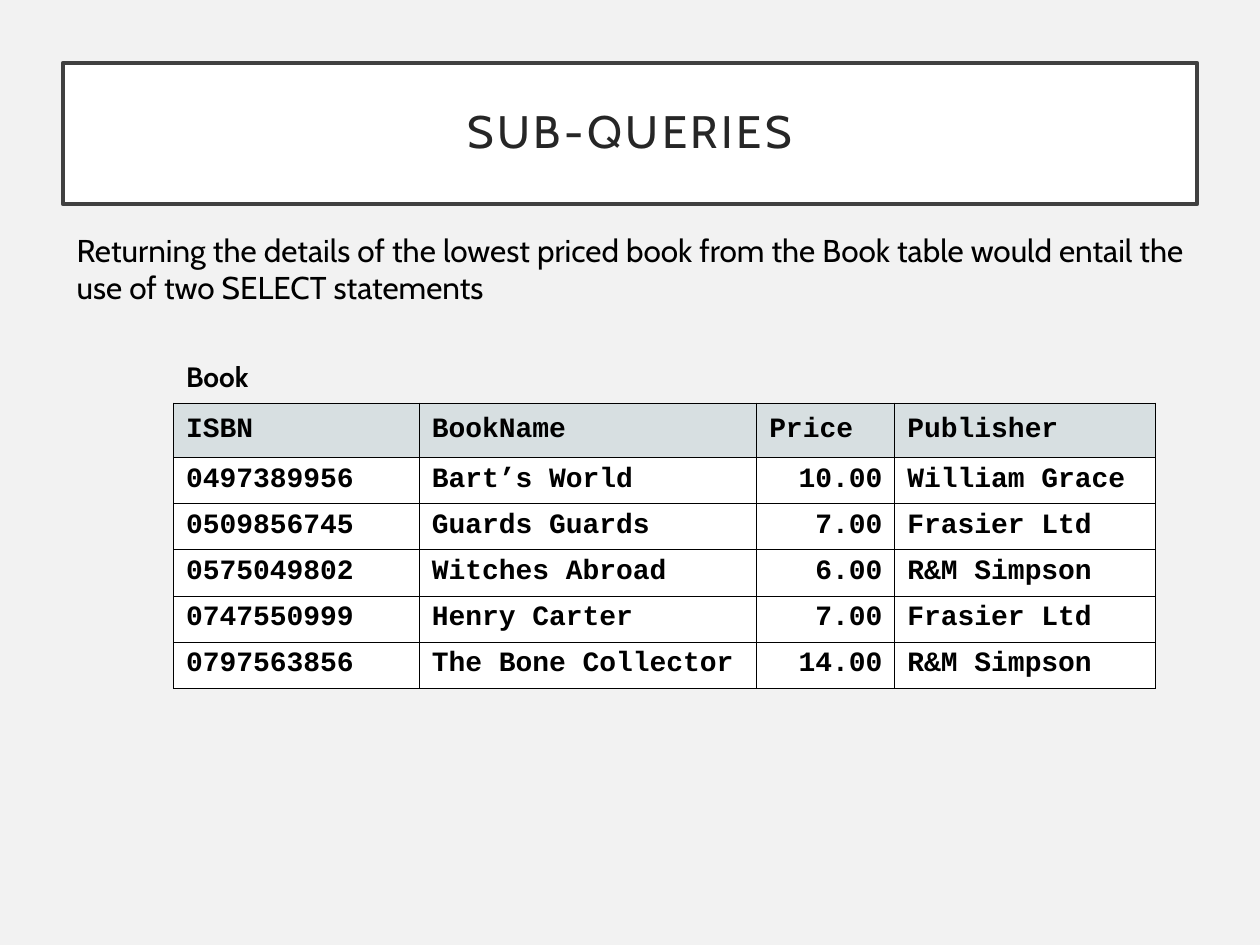
from lxml import etree
from pptx import Presentation
from pptx.dml.color import RGBColor
from pptx.enum import text
from pptx.oxml.ns import qn
from pptx.util import Pt

# Content
TITLE = "SUB-QUERIES"
INTRO = ("Returning the details of the lowest priced book from the Book table "
         "would entail the use of two SELECT statements")
CAPTION = "Book"
BOOKS = [
    ("ISBN", "BookName", "Price", "Publisher"),
    ("0497389956", "Bart’s World", "10.00", "William Grace"),
    ("0509856745", "Guards Guards", "7.00", "Frasier Ltd"),
    ("0575049802", "Witches Abroad", "6.00", "R&M Simpson"),
    ("0747550999", "Henry Carter", "7.00", "Frasier Ltd"),
    ("0797563856", "The Bone Collector", "14.00", "R&M Simpson"),
]
PRICE_COLUMN = 2

# Style, lengths in points
COLORS = {"background": "F2F2F2", "panel": "FFFFFF", "frame": "404040",
          "title": "262626", "text": "000000", "header": "D7DFE1"}
COLUMN_WIDTHS = (140.4, 192.8, 79, 149)
HEADER_HEIGHT, ROW_HEIGHT = 31, 26.4
TABLE_LEFT, TABLE_TOP = 99.2, 230.4


def color(name):
    return RGBColor.from_string(COLORS[name])


def paint(fill, name):
    fill.solid()
    fill.fore_color.rgb = color(name)


def style(para, font, size, name="text", bold=False):
    for span in para.runs:
        span.font.name = font
        span.font.size = Pt(size)
        span.font.bold = bold
        span.font.color.rgb = color(name)


def add_text(slide, words, left, top, width, height, size, bold=False):
    box = slide.shapes.add_textbox(Pt(left), Pt(top), Pt(width), Pt(height))
    frame = box.text_frame
    frame.word_wrap = True
    frame.text = words
    style(frame.paragraphs[0], "Cabin", size, bold=bold)


def add_borders(cell, width=0.75):
    properties = cell._tc.get_or_add_tcPr()
    for index, side in enumerate(("lnL", "lnR", "lnT", "lnB")):
        line = etree.Element(qn(f"a:{side}"), w=str(Pt(width)))
        fill = etree.SubElement(line, qn("a:solidFill"))
        etree.SubElement(fill, qn("a:srgbClr"), val=COLORS["text"])
        properties.insert(index, line)


def add_title(slide):
    title = slide.shapes.title
    title.left, title.top, title.width, title.height = Pt(36), Pt(36), Pt(648), Pt(80.6)
    paint(title.fill, "panel")
    title.line.color.rgb = color("frame")
    title.line.width = Pt(2.5)
    frame = title.text_frame
    frame.text = TITLE
    frame.word_wrap = True
    frame.auto_size = text.MSO_AUTO_SIZE.NONE
    frame.vertical_anchor = text.MSO_ANCHOR.MIDDLE
    frame.margin_left = frame.margin_right = Pt(14.4)
    frame.margin_top = frame.margin_bottom = Pt(14.4)
    para = frame.paragraphs[0]
    para.alignment = text.PP_ALIGN.CENTER
    para.line_spacing = 0.9
    style(para, "Cabin", 26, "title")
    para.runs[0].font._element.set("spc", "200")  # letter spacing of 2 pt


def add_book_table(slide):
    heights = [HEADER_HEIGHT] + [ROW_HEIGHT] * (len(BOOKS) - 1)
    table = slide.shapes.add_table(
        len(BOOKS), len(COLUMN_WIDTHS), Pt(TABLE_LEFT), Pt(TABLE_TOP),
        Pt(sum(COLUMN_WIDTHS)), Pt(sum(heights))).table
    table.horz_banding = False
    for column, width in zip(table.columns, COLUMN_WIDTHS):
        column.width = Pt(width)
    for r, (values, height) in enumerate(zip(BOOKS, heights)):
        table.rows[r].height = Pt(height)
        for c, value in enumerate(values):
            cell = table.cell(r, c)
            cell.text = value
            paint(cell.fill, "panel" if r else "header")
            add_borders(cell)
            para = cell.text_frame.paragraphs[0]
            style(para, "Courier New", 16, bold=True)
            if r == 0:
                cell.vertical_anchor = text.MSO_ANCHOR.MIDDLE
            elif c == PRICE_COLUMN:
                para.alignment = text.PP_ALIGN.RIGHT


def main():
    deck = Presentation()
    deck.slide_width, deck.slide_height = Pt(720), Pt(540)
    slide = deck.slides.add_slide(deck.slide_layouts[5])
    paint(slide.background.fill, "background")

    # Heading and introduction
    add_title(slide)
    add_text(slide, INTRO, 36.7, 128.2, 674.6, 50.4, 18)

    # Captioned table of books
    add_text(slide, CAPTION, TABLE_LEFT, 202, 209.5, 26.6, 16, bold=True)
    add_book_table(slide)
    deck.save("out.pptx")


if __name__ == "__main__":
    main()
